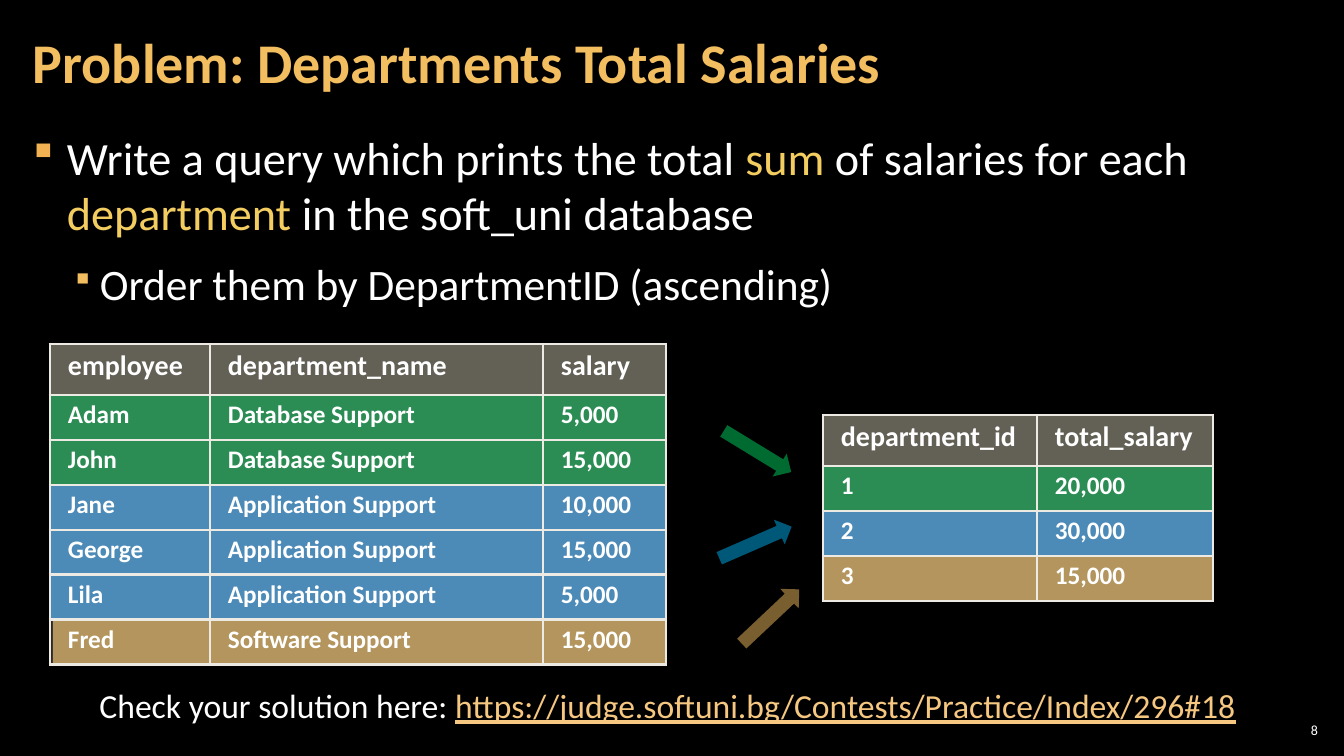
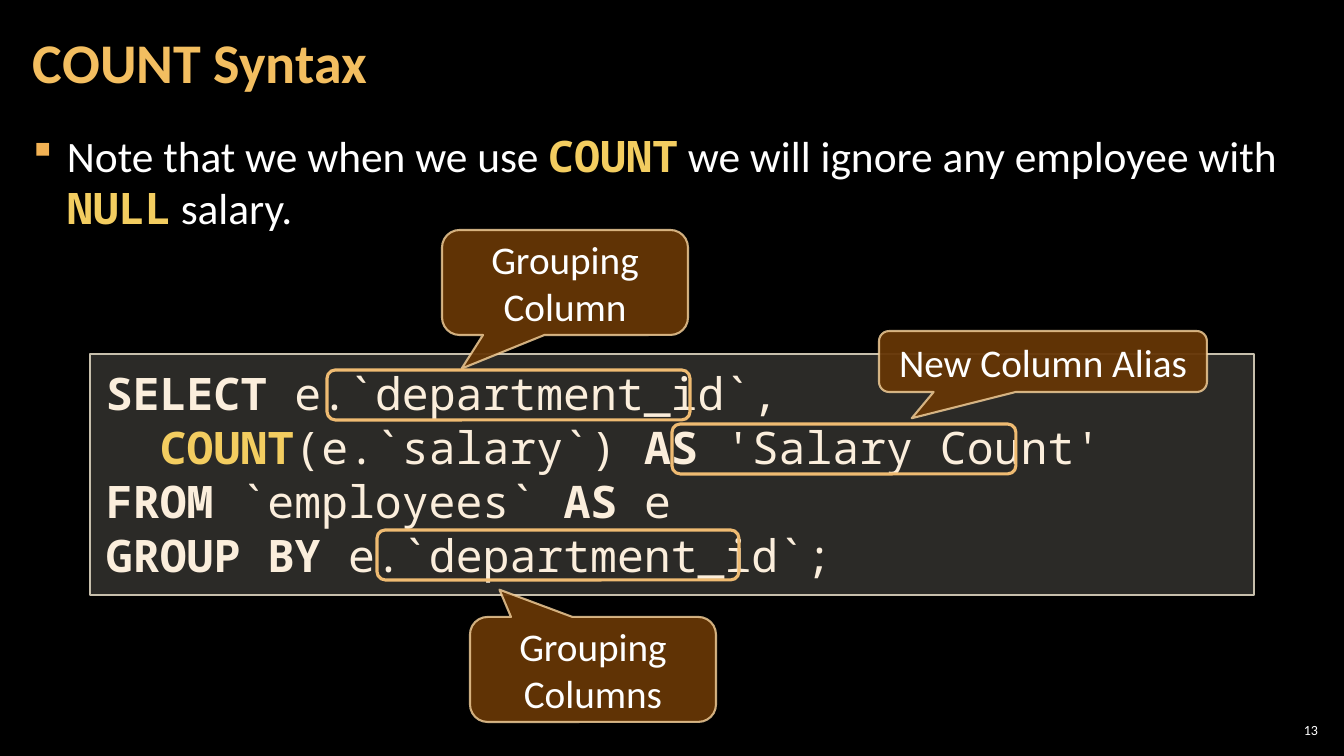
"""Build two slides on SQL aggregation: total salaries and COUNT syntax."""
import pptx
import pptx.dml.color
import pptx.enum.shapes
import pptx.enum.text
import pptx.oxml
import pptx.oxml.ns
import pptx.util

SCALE = 914400 / 100.8
COLOURS = {
    "black": "000000", "white": "FFFFFF", "title": "F3BE60", "bullet": "F2B254",
    "accent": "F3CD60", "link": "F6C781", "code": "FBEEDC", "panel": "D9D5C7",
    "panel_line": "C7BFAC", "callout": "663606", "callout_line": "F8D49E",
    "highlight": "EFBB72", "border": "ECEAE3", "header": "C6C0AA",
    "green": "00B050", "blue": "3BABFF", "gold": "F3BE60",
    "green_arrow": "00D661", "blue_arrow": "00B0F0",
}
SANS, MONO = "Calibri", "Noto Sans Mono"
PLAIN = (SANS, "white", False)
BOLD = (SANS, "white", True)
ACCENT = (SANS, "accent", False)
KEYWORD = (MONO, "accent", True)
CODE = (MONO, "code", False)
CODE_BOLD = (MONO, "code", True)
TITLE = (SANS, "title", True)
LINK = (SANS, "link", False)
SHAPES = pptx.enum.shapes.MSO_SHAPE
ALIGN = pptx.enum.text.PP_ALIGN
ANCHOR = pptx.enum.text.MSO_ANCHOR


def px(length):
    return pptx.util.Emu(round(length * SCALE))


def rgb(name):
    return pptx.dml.color.RGBColor.from_string(COLOURS[name])


def add_child(parent, tag, **attributes):
    child = parent.makeelement(pptx.oxml.ns.qn(tag), attributes)
    parent.append(child)
    return child


def paint(fill, colour, opacity=100):
    fill.solid()
    fill.fore_color.rgb = rgb(colour)
    if opacity < 100:
        solid = fill._xPr.find(pptx.oxml.ns.qn("a:solidFill"))
        add_child(solid[0], "a:alpha", val=str(opacity * 1000))


def add_runs(paragraph, runs, size):
    for text, style in runs:
        run = paragraph.add_run()
        run.text = text
        run.font.name, run.font.bold = style[0], style[2]
        run.font.size = pptx.util.Pt(size)
        run.font.color.rgb = rgb(style[1])
        if style is LINK:
            run.font.underline = True


def set_frame(frame, horizontal, vertical, anchor=ANCHOR.TOP):
    frame.word_wrap = True
    frame.auto_size = pptx.enum.text.MSO_AUTO_SIZE.NONE
    frame.vertical_anchor = anchor
    frame.margin_left = frame.margin_right = px(horizontal)
    frame.margin_top = frame.margin_bottom = px(vertical)
    return frame


def add_text(slide, box, runs, size, align, margins, anchor=ANCHOR.TOP):
    shape = slide.shapes.add_textbox(*map(px, box))
    paragraph = set_frame(shape.text_frame, *margins, anchor).paragraphs[0]
    paragraph.alignment = align
    add_runs(paragraph, runs, size)


def add_titled_slide(presentation, title, number):
    slide = presentation.slides.add_slide(presentation.slide_layouts[5])
    shape = slide.shapes.title
    shape.left, shape.top, shape.width, shape.height = map(px, (21, 4, 1055, 122))
    paragraph = set_frame(shape.text_frame, 12, 4, ANCHOR.MIDDLE).paragraphs[0]
    paragraph.alignment = ALIGN.LEFT
    paragraph.line_spacing = 0.9
    add_runs(paragraph, [(title, TITLE)], 40)
    add_text(slide, (1275, 719, 47, 21), [(str(number), PLAIN)], 10,
             ALIGN.RIGHT, (4, 4), ANCHOR.MIDDLE)
    return slide


def add_bullets(slide, items):
    """Add bullet paragraphs given as (level, size, runs)."""
    shape = slide.shapes.add_textbox(*map(px, (21, 125, 1301, 614)))
    frame = set_frame(shape.text_frame, 12, 4)
    for index, (level, size, runs) in enumerate(items):
        paragraph = frame.add_paragraph() if index else frame.paragraphs[0]
        properties = paragraph._p.get_or_add_pPr()
        margin, indent = ((67, -25) if level else (34, -34))
        properties.set("marL", str(px(margin)))
        properties.set("indent", str(px(indent)))
        colour = add_child(properties, "a:buClr")
        add_child(colour, "a:srgbClr", val=COLOURS["title" if level else "bullet"])
        if level:
            add_child(properties, "a:buSzPct", val="80000")
        add_child(properties, "a:buFont", typeface="Wingdings", charset="2")
        add_child(properties, "a:buChar", char="§")
        paragraph.level = level
        paragraph.space_after = pptx.util.Pt(6)
        if index:
            paragraph.space_before = pptx.util.Pt(6)
        add_runs(paragraph, runs, size)


def add_shape(slide, kind, box, fill=None, opacity=100, line=None, width=1, line_opacity=100):
    shape = slide.shapes.add_shape(kind, *map(px, box))
    shape.shadow.inherit = False
    if fill:
        paint(shape.fill, fill, opacity)
    else:
        shape.fill.background()
    if line:
        shape.line.width = pptx.util.Pt(width)
        paint(shape.line.fill, line, line_opacity)
    else:
        shape.line.fill.background()
    return shape


def add_bands(slide, bands):
    """Add the colour bands that show through the translucent table cells."""
    for colour, box in bands:
        add_shape(slide, SHAPES.RECTANGLE, box, colour, 70)


def add_arrow(slide, left, top, rotation, colour):
    arrow = add_shape(slide, SHAPES.RIGHT_ARROW, (left, top, 79, 27), colour, 50)
    arrow.rotation = rotation


def add_callout(slide, box, pointer, text):
    callout = add_shape(slide, SHAPES.ROUNDED_RECTANGULAR_CALLOUT, box,
                        "callout", 95, "callout_line", 1.5, 80)
    callout.adjustments[0], callout.adjustments[1] = pointer
    paragraph = set_frame(callout.text_frame, 10, 5, ANCHOR.MIDDLE).paragraphs[0]
    paragraph.alignment = ALIGN.CENTER
    add_runs(paragraph, [(text, PLAIN)], 28)


def add_code(slide, box, lines):
    panel = add_shape(slide, SHAPES.RECTANGLE, box, "panel", 20, "panel_line")
    frame = set_frame(panel.text_frame, 16, 12)
    for index, runs in enumerate(lines):
        paragraph = frame.add_paragraph() if index else frame.paragraphs[0]
        paragraph.alignment = ALIGN.LEFT
        add_runs(paragraph, runs, 32)


def format_cell(cell, text, size, colour, opacity):
    properties = cell._tc.get_or_add_tcPr()
    for side in ("a:lnL", "a:lnR", "a:lnT", "a:lnB"):
        border = add_child(properties, side, w=str(pptx.util.Pt(2.25)))
        solid = add_child(border, "a:solidFill")
        add_child(solid, "a:srgbClr", val=COLOURS["border"])
    paint(cell.fill, colour, opacity)
    cell.margin_left = cell.margin_right = px(18)
    cell.margin_top = cell.margin_bottom = px(5)
    paragraph = cell.text_frame.paragraphs[0]
    paragraph.line_spacing = 0.95
    add_runs(paragraph, [(text, BOLD)], size)


def add_salary_table(slide, left, top, widths, rows):
    """Add a table with a header row and translucent body rows."""
    heights = [51] + [45] * (len(rows) - 1)
    box = (left, top, sum(widths), sum(heights))
    table = slide.shapes.add_table(len(rows), len(widths), *map(px, box)).table
    for column, width in zip(table.columns, widths):
        column.width = px(width)
    for index, texts in enumerate(rows):
        table.rows[index].height = px(heights[index])
        style = (18, "panel", 20) if index else (20, "header", 50)
        for cell, text in zip(table.rows[index].cells, texts):
            format_cell(cell, text, *style)


def build_salaries(presentation):
    slide = add_titled_slide(presentation, "Problem: Departments Total Salaries", 8)
    add_bullets(slide, [
        (0, 33, [("Write a query which prints the total ", PLAIN), ("sum", ACCENT),
                 (" of salaries for each ", PLAIN), ("department ", ACCENT),
                 ("in the soft_uni database", PLAIN)]),
        (1, 31, [("Order them by DepartmentID (ascending)", PLAIN)]),
    ])
    add_bands(slide, [
        ("gold", (53, 620, 614, 45)),
        ("blue", (50, 485, 617, 135)),
        ("green", (50, 395, 616, 90)),
        ("green", (823, 467, 391, 44)),
        ("blue", (823, 511, 391, 46)),
        ("gold", (823, 557, 391, 44)),
    ])
    add_salary_table(slide, 50, 344, (160, 333, 123), [
        ("employee", "department_name", "salary"),
        ("Adam", "Database Support", "5,000"),
        ("John", "Database Support", "15,000"),
        ("Jane", "Application Support", "10,000"),
        ("George", "Application Support", "15,000"),
        ("Lila", "Application Support", "5,000"),
        ("Fred", "Software Support", "15,000"),
    ])
    add_salary_table(slide, 823, 415, (214, 176), [
        ("department_id", "total_salary"),
        ("1", "20,000"),
        ("2", "30,000"),
        ("3", "15,000"),
    ])
    add_arrow(slide, 718, 438, 31.4, "green_arrow")
    add_arrow(slide, 716, 529, 336.4, "blue_arrow")
    add_arrow(slide, 731, 603, 316.7, "gold")
    add_text(slide, (84, 680, 1167, 50), [
        ("Check your solution here: ", PLAIN),
        ("https://judge.softuni.bg/Contests/Practice/Index/296#18", LINK),
    ], 24, ALIGN.CENTER, (10, 5))


def build_count(presentation):
    slide = add_titled_slide(presentation, "COUNT Syntax", 13)
    add_bullets(slide, [
        (0, 31, [("Note that we when we use ", PLAIN), ("COUNT", KEYWORD),
                 (" we will ignore any employee with ", PLAIN),
                 ("NULL", KEYWORD), (" salary.", PLAIN)]),
    ])
    add_code(slide, (90, 354, 1164, 241), [
        [("SELECT", CODE_BOLD), (" e.`department_id`,", CODE)],
        [("  ", CODE_BOLD), ("COUNT", KEYWORD), ("(e.`salary`) ", CODE),
         ("AS", CODE_BOLD), (" 'Salary Count'", CODE)],
        [("FROM", CODE_BOLD), (" `employees` ", CODE), ("AS", CODE_BOLD), (" e", CODE)],
        [("GROUP BY ", CODE_BOLD), ("e.`department_id`;", CODE)],
    ])
    add_callout(slide, (442, 230, 246, 105), (-0.42, 0.82), "Grouping Column")
    add_callout(slide, (470, 617, 246, 105), (-0.38, -0.76), "Grouping Columns")
    add_callout(slide, (879, 331, 328, 61), (-0.4, 0.93), "New Column Alias")
    for left, top, width in ((327, 370, 363), (672, 424, 344), (377, 530, 362)):
        add_shape(slide, SHAPES.ROUNDED_RECTANGLE, (left, top, width, 50),
                  line="highlight", width=2.25)


def main():
    presentation = pptx.Presentation()
    presentation.slide_width, presentation.slide_height = px(1344), px(756)
    paint(presentation.slide_master.background.fill, "black")
    build_salaries(presentation)
    build_count(presentation)
    presentation.save("out.pptx")


if __name__ == "__main__":
    main()
